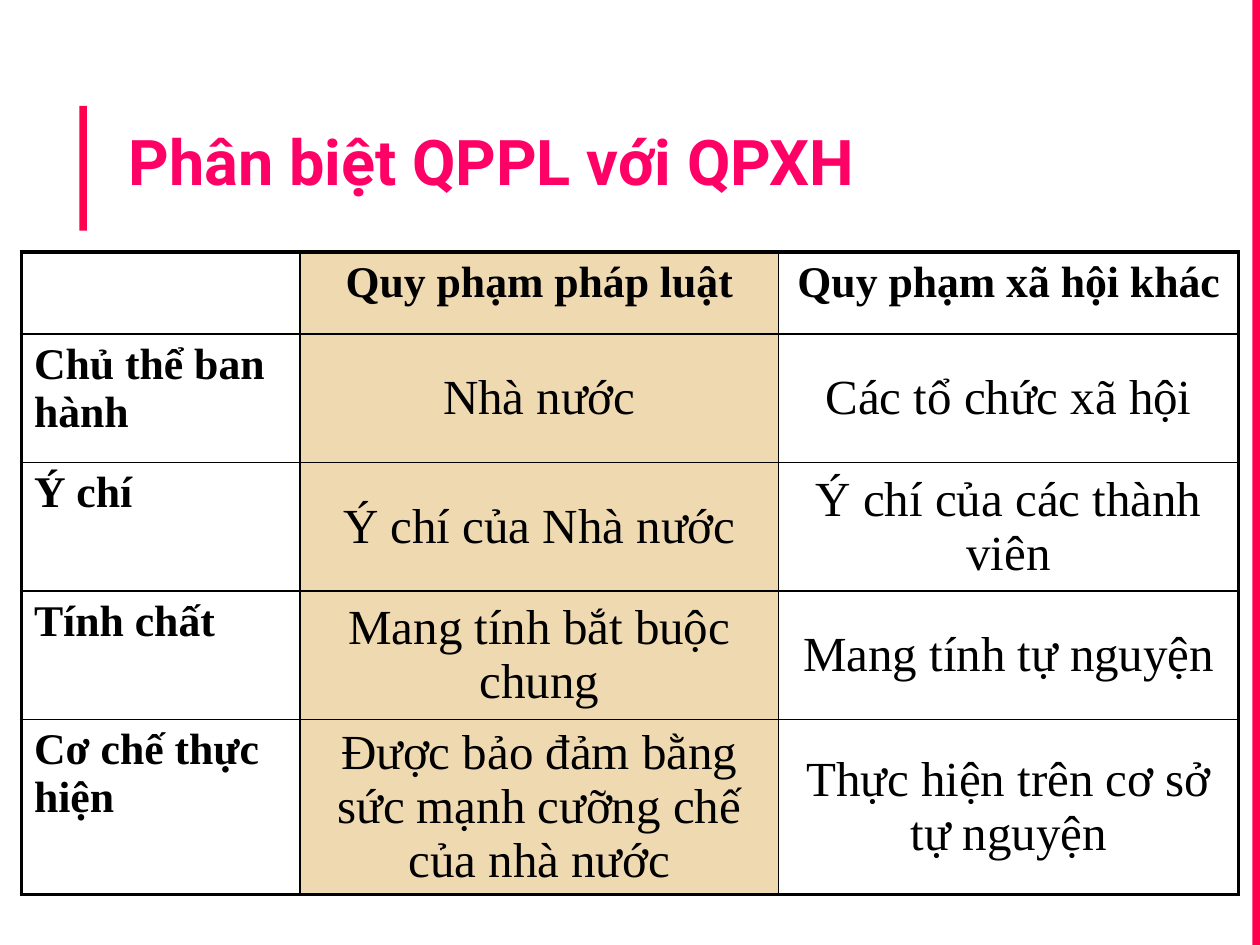
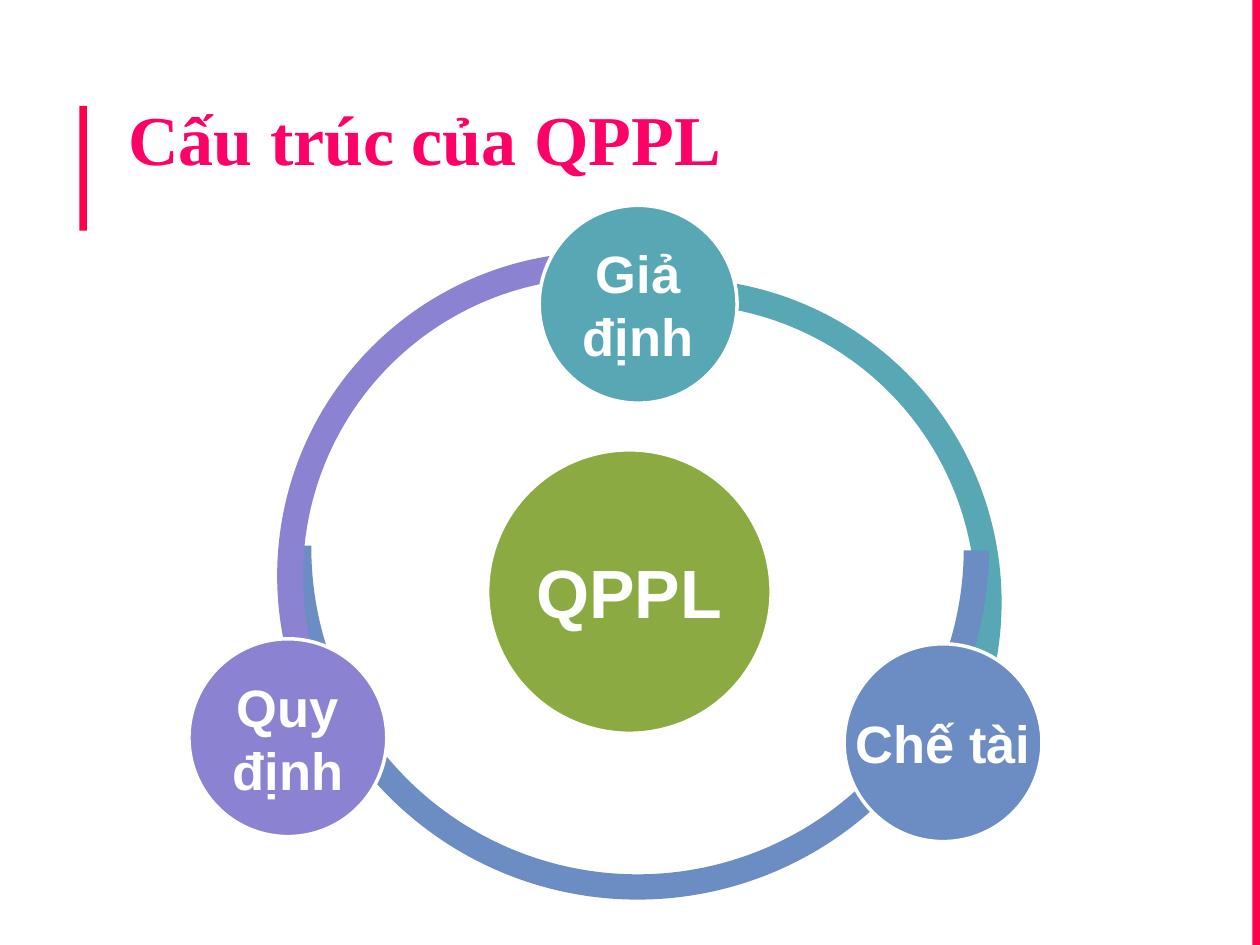
import pptx
import pptx.util
import pptx.dml.color
import pptx.enum.shapes
import pptx.enum.text
import lxml.etree

Inches, Pt = pptx.util.Inches, pptx.util.Pt
SHAPES = pptx.enum.shapes.MSO_SHAPE
ALIGN = pptx.enum.text.PP_ALIGN
ANCHOR = pptx.enum.text.MSO_ANCHOR

ACCENT, TITLE_PINK = "FF004E", "FF0066"
BLACK, WHITE, SAND = "000000", "FFFFFF", "EFD9B0"
TEAL, BLUE, VIOLET, GREEN = "57A7B5", "6C8CC4", "8C82D2", "8BAB42"
SERIF, SANS, HEADING = "Times New Roman", "Arial", "Roboto"

THICK, THIN = 2.25, 1
COLUMN_WIDTHS = [2.21, 3.8, 3.65]
ROW_HEIGHTS = [0.65, 1.02, 1.02, 1.02, 1.31]
COMPARISON = [
    ["", "Quy phạm pháp luật", "Quy phạm xã hội khác"],
    ["Chủ thể ban hành", "Nhà nước", "Các tổ chức xã hội"],
    ["Ý chí", "Ý chí của Nhà nước", "Ý chí của các thành viên"],
    ["Tính chất", "Mang tính bắt buộc chung", "Mang tính tự nguyện"],
    ["Cơ chế thực hiện", "Được bảo đảm bằng sức mạnh cưỡng chế của nhà nước",
     "Thực hiện trên cơ sở tự nguyện"],
]

# Ring arcs: left, top, diameter, start and end in degrees, thickness ratio, colour
ARCS = [
    (1.31, 0.65, 5.14, 262.42, 27.82, 0.04, TEAL),
    (0.77, 0, 5.58, 0.42, 180.42, 0.036, BLUE),
    (0.7, 0.44, 5.14, 150.95, 287.01, 0.04, VIOLET),
]
# Discs: left, top, diameter, label, text size, colour
DISCS = [
    (2.37, 2.01, 2.25, "QPPL", 39, GREEN),
    (2.78, 0.07, 1.57, "Giả định", 30, TEAL),
    (5.2, 3.55, 1.57, "Chế tài", 30, BLUE),
    (0, 3.51, 1.57, "Quy định", 30, VIOLET),
]


def rgb(value):
    return pptx.dml.color.RGBColor.from_string(value)


def inches(*lengths):
    return [Inches(length) for length in lengths]


def add_run(paragraph, text, font_name, size, color, bold=True):
    run = paragraph.add_run()
    run.text = text
    run.font.name, run.font.size, run.font.bold = font_name, Pt(size), bold
    run.font.color.rgb = rgb(color)


def set_insets(frame, inset, top=None):
    frame.margin_left = frame.margin_right = frame.margin_bottom = Inches(inset)
    frame.margin_top = Inches(inset if top is None else top)


def add_filled(shapes, kind, box, color, outline=None):
    shape = shapes.add_shape(kind, *inches(*box))
    shape.shadow.inherit = False
    shape.fill.solid()
    shape.fill.fore_color.rgb = rgb(color)
    if outline:
        shape.line.color.rgb = rgb(outline)
        shape.line.width = Pt(2)
    else:
        shape.line.fill.background()
    return shape


def add_titled_slide(deck, title_text, title_box, font_name, size):
    """Slide with the accent bands and a left-aligned title."""
    slide = deck.slides.add_slide(deck.slide_layouts[5])
    slide.background.fill.solid()
    slide.background.fill.fore_color.rgb = rgb(WHITE)
    for band in [(0.63, 0.84, 0.06, 0.99), (9.94, 0, 0.06, 7.5)]:
        add_filled(slide.shapes, SHAPES.RECTANGLE, band, ACCENT)

    title = slide.shapes.title
    title.left, title.top, title.width, title.height = inches(*title_box)
    frame = title.text_frame
    frame.word_wrap = True
    frame.auto_size = pptx.enum.text.MSO_AUTO_SIZE.NONE
    frame.vertical_anchor = ANCHOR.TOP
    set_insets(frame, 0.1, top=0.14)
    heading = frame.paragraphs[0]
    heading.alignment = ALIGN.LEFT
    add_run(heading, title_text, font_name, size, TITLE_PINK)
    return slide


def set_borders(cell, widths):
    properties = cell._tc.get_or_add_tcPr()
    for side, width in zip("LRTB", widths):
        line = lxml.etree.SubElement(
            properties, pptx.oxml.ns.qn(f"a:ln{side}"), w=str(Pt(width)))
        fill = lxml.etree.SubElement(line, pptx.oxml.ns.qn("a:solidFill"))
        lxml.etree.SubElement(fill, pptx.oxml.ns.qn("a:srgbClr"), val=BLACK)


def add_comparison_table(slide, left, top):
    row_count, column_count = len(ROW_HEIGHTS), len(COLUMN_WIDTHS)
    table = slide.shapes.add_table(
        row_count, column_count,
        *inches(left, top, sum(COLUMN_WIDTHS), sum(ROW_HEIGHTS))).table
    table.first_row = table.horz_banding = False
    for column, width in zip(table.columns, COLUMN_WIDTHS):
        column.width = Inches(width)
    for row, height in zip(table.rows, ROW_HEIGHTS):
        row.height = Inches(height)

    for r, texts in enumerate(COMPARISON):
        for c, text in enumerate(texts):
            cell = table.cell(r, c)
            outer_sides = [c == 0, c == column_count - 1, r == 0, r == row_count - 1]
            set_borders(cell, [THICK if outer else THIN for outer in outer_sides])
            if c == 1:
                cell.fill.solid()
                cell.fill.fore_color.rgb = rgb(SAND)
            else:
                cell.fill.background()
            is_header = r == 0 or c == 0
            cell.vertical_anchor = ANCHOR.TOP if is_header else ANCHOR.MIDDLE
            paragraph = cell.text_frame.paragraphs[0]
            paragraph.alignment = ALIGN.LEFT if c == 0 else ALIGN.CENTER
            paragraph.space_before = Pt(7)
            if text:
                add_run(paragraph, text, SERIF, 25 if is_header else 28, BLACK, is_header)


def add_structure_cycle(slide, left, top):
    cycle = slide.shapes.add_group_shape().shapes

    # Ring behind the discs; an angle adjustment counts 0.6 per degree
    for x, y, diameter, start, end, thickness, color in ARCS:
        box = (left + x, top + y, diameter, diameter)
        arc = add_filled(cycle, SHAPES.BLOCK_ARC, box, color)
        for i, value in enumerate([start * 0.6, end * 0.6, thickness]):
            arc.adjustments[i] = value

    # Discs, with labels as wide as the whole disc
    for x, y, diameter, label, size, color in DISCS:
        box = (left + x, top + y, diameter, diameter)
        add_filled(cycle, SHAPES.OVAL, box, color, WHITE)
        frame = cycle.add_textbox(*inches(*box)).text_frame
        frame.word_wrap = True
        frame.vertical_anchor = ANCHOR.MIDDLE
        set_insets(frame, 0.04)
        frame.paragraphs[0].alignment = ALIGN.CENTER
        add_run(frame.paragraphs[0], label, SANS, size, WHITE)


def main():
    deck = pptx.Presentation()
    deck.slide_width, deck.slide_height = inches(10, 7.5)

    comparison = add_titled_slide(
        deck, "Phân biệt QPPL với QPXH", (0.92, 0.83, 7.49, 1.05), HEADING, 36)
    add_comparison_table(comparison, 0.17, 2)

    structure = add_titled_slide(
        deck, "Cấu trúc của QPPL", (0.92, 0.62, 7.08, 1.25), SERIF, 40)
    add_structure_cycle(structure, 1.5, 1.56)

    deck.save("out.pptx")


if __name__ == "__main__":
    main()
